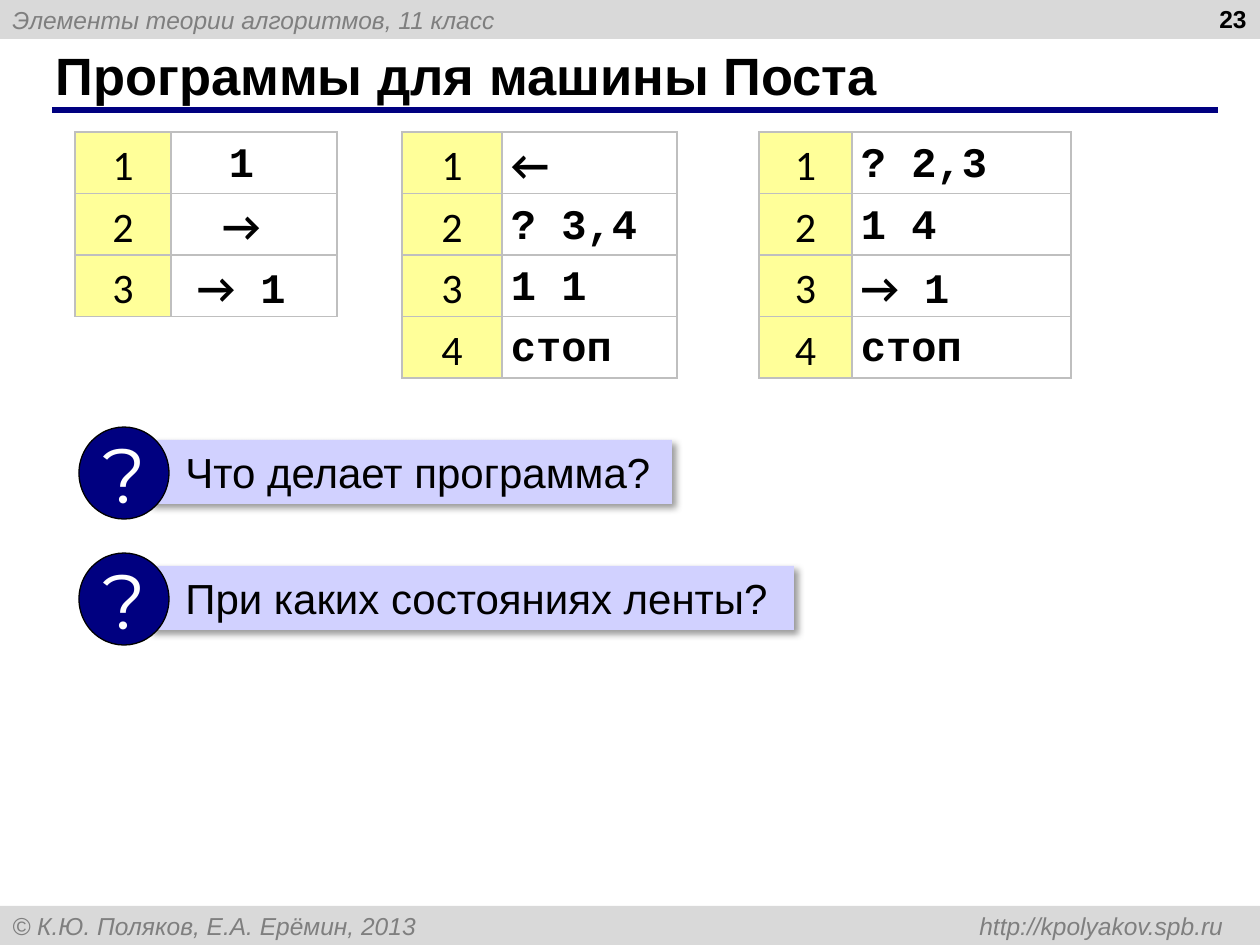
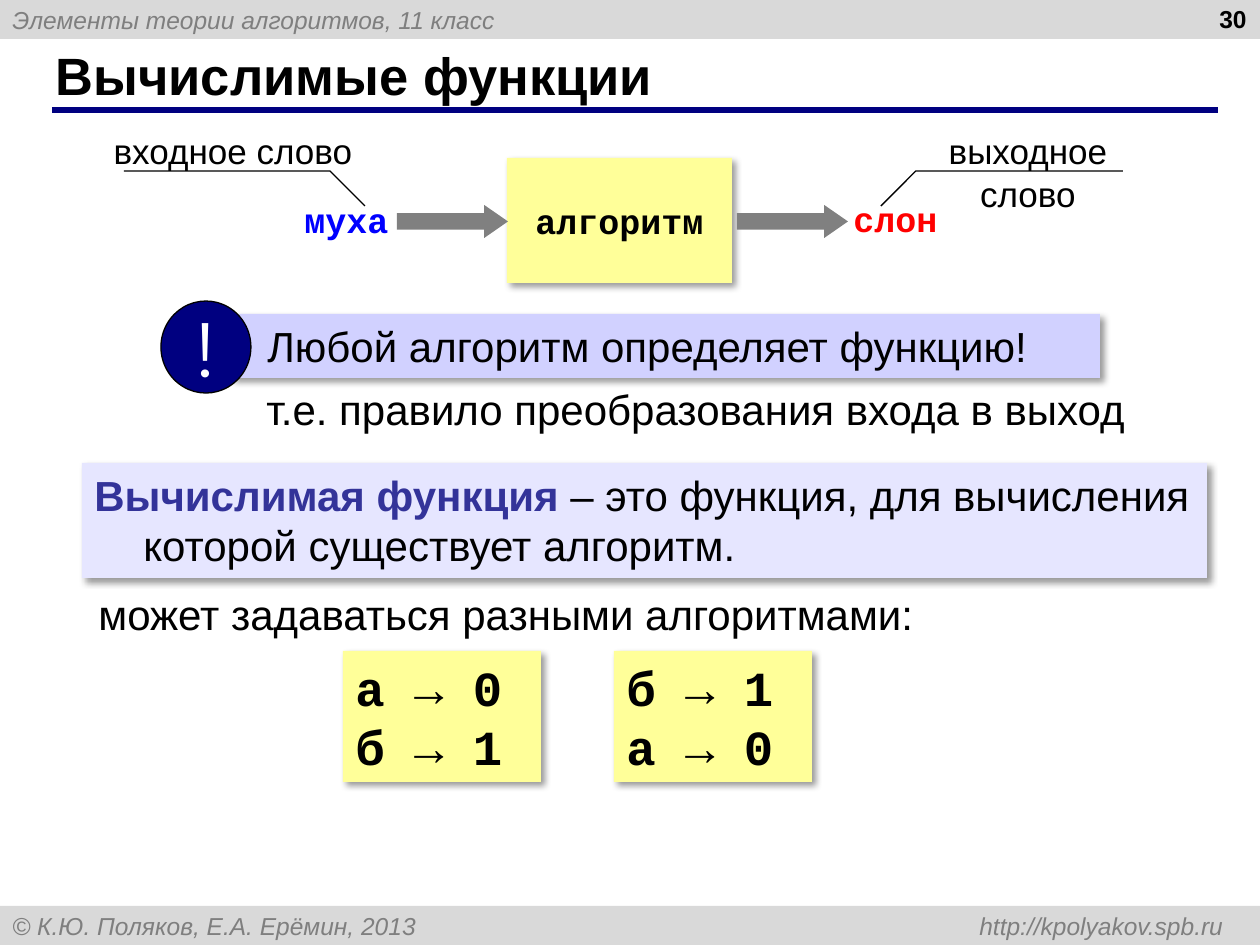
"""Build two lesson slides on Post machine programs and computable functions."""
from lxml.etree import SubElement
from pptx import Presentation
from pptx.dml.color import RGBColor
from pptx.enum.shapes import MSO_CONNECTOR, MSO_SHAPE as SHAPE
from pptx.enum.text import MSO_ANCHOR as ANCHOR, MSO_AUTO_SIZE, PP_ALIGN as ALIGN
from pptx.oxml import parse_xml
from pptx.oxml.ns import nsdecls, qn
from pptx.util import Pt

PX = 7257
rgb = RGBColor.from_string
BLACK, WHITE, NAVY, YELLOW = "000000", "FFFFFF", "000080", "FFFF99"
BAND, BAND_TEXT, GRID, ARROW = "D9D9D9", "7F7F7F", "BFBFBF", "808080"
LILAC, PALE_LILAC, TERM = "D1D1FF", "E6E6FF", "333399"
MONO = "Courier New"
SHADOW = (f'<a:outerShdw {nsdecls("a")} blurRad="50800" dist="38100" dir="2700000" '
          'algn="tl" rotWithShape="0"><a:srgbClr val="000000">'
          '<a:alpha val="40000"/></a:srgbClr></a:outerShdw>')
BORDER = ('<a:{} {} w="12700"><a:solidFill><a:srgbClr val="' + GRID
          + '"/></a:solidFill></a:{}>')


def write(tf, text, size=24, font="Arial", color=BLACK, bold=False, italic=False,
          align=ALIGN.LEFT, spacing=None, left=0, first=0):
    for i, line in enumerate(text.split("\n")):
        p = tf.add_paragraph() if i else tf.paragraphs[-1]
        p.alignment = align
        if spacing:
            p.line_spacing = spacing
        if left:
            pPr = p._p.get_or_add_pPr()
            pPr.set("marL", str(left * PX))
            pPr.set("indent", str(first * PX))
        r = p.add_run()
        r.text = line
        f = r.font
        f.name, f.size, f.bold, f.italic = font, Pt(size), bold, italic
        f.color.rgb = rgb(color)


def box(s, at, fill=None, kind=SHAPE.RECTANGLE, line=None, shadow=False,
        anchor=ANCHOR.MIDDLE, inset=None):
    at = [v * PX for v in at]
    if fill:
        sp = s.shapes.add_shape(kind, *at)
        sp.fill.solid()
        sp.fill.fore_color.rgb = rgb(fill)
        sp.shadow.inherit = False
        if line:
            sp.line.color.rgb = rgb(line)
            sp.line.width = Pt(0.75)
        else:
            sp.line.fill.background()
        if shadow:
            sp._element.spPr.find(qn("a:effectLst")).append(parse_xml(SHADOW))
    else:
        sp = s.shapes.add_textbox(*at)
    tf = sp.text_frame
    tf.word_wrap = True
    tf.vertical_anchor = anchor
    if inset is not None:
        tf.margin_left = tf.margin_right = tf.margin_top = tf.margin_bottom = inset * PX
    return sp


prs = Presentation()
prs.slide_width, prs.slide_height = 1260 * PX, 945 * PX

slides = []
for title, number in (("Программы для машины Поста", "23"), ("Вычислимые функции", "30")):
    s = prs.slides.add_slide(prs.slide_layouts[5])
    slides.append(s)
    for y, text in ((0, "Элементы теории алгоритмов, 11 класс"),
                    (906, "© К.Ю. Поляков, Е.А. Ерёмин, 2013 \thttp://kpolyakov.spb.ru")):
        tf = box(s, (0, y, 1260, 39), BAND).text_frame
        write(tf, text, size=14, color=BAND_TEXT, italic=True)
        tabs = SubElement(tf.paragraphs[0]._p.get_or_add_pPr(), qn("a:tabLst"))
        SubElement(tabs, qn("a:tab"), pos=str(1211 * PX), algn="r")
    rule = s.shapes.add_connector(MSO_CONNECTOR.STRAIGHT, 52 * PX, 110 * PX, 1218 * PX, 110 * PX)
    rule.line.color.rgb = rgb(NAVY)
    rule.line.width = Pt(3)
    SubElement(rule._element.spPr, qn("a:effectLst"))
    sp = s.shapes.title
    sp.left, sp.top, sp.width, sp.height = [v * PX for v in (43, 42, 1154, 66)]
    sp.text_frame.auto_size = MSO_AUTO_SIZE.NONE
    sp.text_frame.vertical_anchor = ANCHOR.MIDDLE
    write(sp.text_frame, title, size=30, bold=True)
    sp = box(s, (965, -2, 294, 66), anchor=ANCHOR.TOP)
    write(sp.text_frame, number, size=14, bold=True, align=ALIGN.RIGHT)
post, functions = slides

programs = (
    (75, (96, 166), ALIGN.CENTER, ("1 ", "→ ", "→ 1 ")),
    (402, (100, 175), ALIGN.LEFT, ("←", "? 3,4", "1 1", "стоп")),
    (759, (93, 219), ALIGN.LEFT, ("? 2,3", "1 4", "→ 1", "стоп")),
)
for x, widths, align, commands in programs:
    n = len(commands)
    table = post.shapes.add_table(n, 2, x * PX, 132 * PX, sum(widths) * PX,
                                  n * 123 * PX // 2).table
    table.first_row = table.horz_banding = False
    for col, width in zip(table.columns, widths):
        col.width = width * PX
    for i, command in enumerate(commands):
        for cell, fill in zip(table.rows[i].cells, (YELLOW, WHITE)):
            cell.vertical_anchor = ANCHOR.MIDDLE
            cell.margin_left = cell.margin_right = 9 * PX
            cell.margin_top = cell.margin_bottom = 0
            tcPr = cell._tc.get_or_add_tcPr()
            for side in ("lnL", "lnR", "lnT", "lnB"):
                tcPr.append(parse_xml(BORDER.format(side, nsdecls("a"), side)))
            cell.fill.solid()
            cell.fill.fore_color.rgb = rgb(fill)
        write(table.cell(i, 0).text_frame, str(i + 1), font="Calibri",
              align=ALIGN.CENTER, spacing=1.15)
        tf = table.cell(i, 1).text_frame
        if command[0] in "←→":
            write(tf, command[0], font="Calibri", bold=True, align=align, spacing=1.15)
            command = command[1:]
        if command:
            write(tf, command, font=MONO, bold=True, align=align, spacing=1.15)

callouts = (
    (post, 79, 427, 523, "?", "Что делает программа?"),
    (post, 79, 553, 645, "?", "При каких состояниях ленты?"),
    (functions, 161, 301, 869, "!", "Любой алгоритм определяет функцию!"),
)
for s, x, y, width, mark, text in callouts:
    sp = box(s, (x + 70, y + 13, width, 64), LILAC, shadow=True)
    write(sp.text_frame, text, left=24)
    sp = box(s, (x, y, 90, 92), NAVY, SHAPE.OVAL, line=BLACK)
    sp.text_frame.word_wrap = False
    write(sp.text_frame, mark, size=44, font="Montserrat", color=WHITE, align=ALIGN.CENTER)

s = functions
sp = box(s, (507, 158, 225, 125), YELLOW, shadow=True, inset=0)
write(sp.text_frame, "алгоритм", size=20, font=MONO, bold=True, align=ALIGN.CENTER)
for x in (397, 737):
    sp = box(s, (x, 205, 111, 33), ARROW, SHAPE.RIGHT_ARROW)
    sp.adjustments[0], sp.adjustments[1] = 0.5, 0.72

labels = (
    ((290, 199, 113, 39), "муха", MONO, "0000FF", True),
    ((833, 198, 125, 39), "слон", MONO, "FF0000", True),
    ((112, 130, 242, 39), "входное слово", "Arial", BLACK, False),
    ((907, 130, 242, 39), "выходное слово", "Arial", BLACK, False),
)
for at, text, font, color, bold in labels:
    sp = box(s, at, anchor=ANCHOR.TOP, inset=0)
    write(sp.text_frame, text, size=20, font=font, color=color, bold=bold, align=ALIGN.CENTER)

for word, bend, end in ((365, 330, 124), (881, 916, 1123)):
    ff = s.shapes.build_freeform(word, 206, scale=PX)
    ff.add_line_segments([(bend, 171), (end, 171)], close=False)
    sp = ff.convert_to_shape()
    sp.fill.background()
    sp.line.color.rgb = rgb(BLACK)
    sp.line.width = Pt(0.75)
    sp.shadow.inherit = False

sp = box(s, (82, 463, 1125, 115), PALE_LILAC, shadow=True, anchor=ANCHOR.TOP)
write(sp.text_frame, "Вычислимая функция ", color=TERM, bold=True, left=49, first=-49)
write(sp.text_frame, "– это функция, для вычисления которой существует алгоритм.",
      left=49, first=-49)
for x, y, text in ((254, 377, "т.е. правило преобразования входа в выход"),
                   (86, 582, "может задаваться разными алгоритмами:")):
    write(box(s, (x, y, 940, 63), anchor=ANCHOR.TOP).text_frame, text)
for x, rules in ((343, "а → 0\nб → 1"), (614, "б → 1\nа → 0")):
    sp = box(s, (x, 651, 198, 131), YELLOW, shadow=True)
    write(sp.text_frame, rules, size=28, font=MONO, bold=True, align=ALIGN.JUSTIFY)

prs.save("out.pptx")
